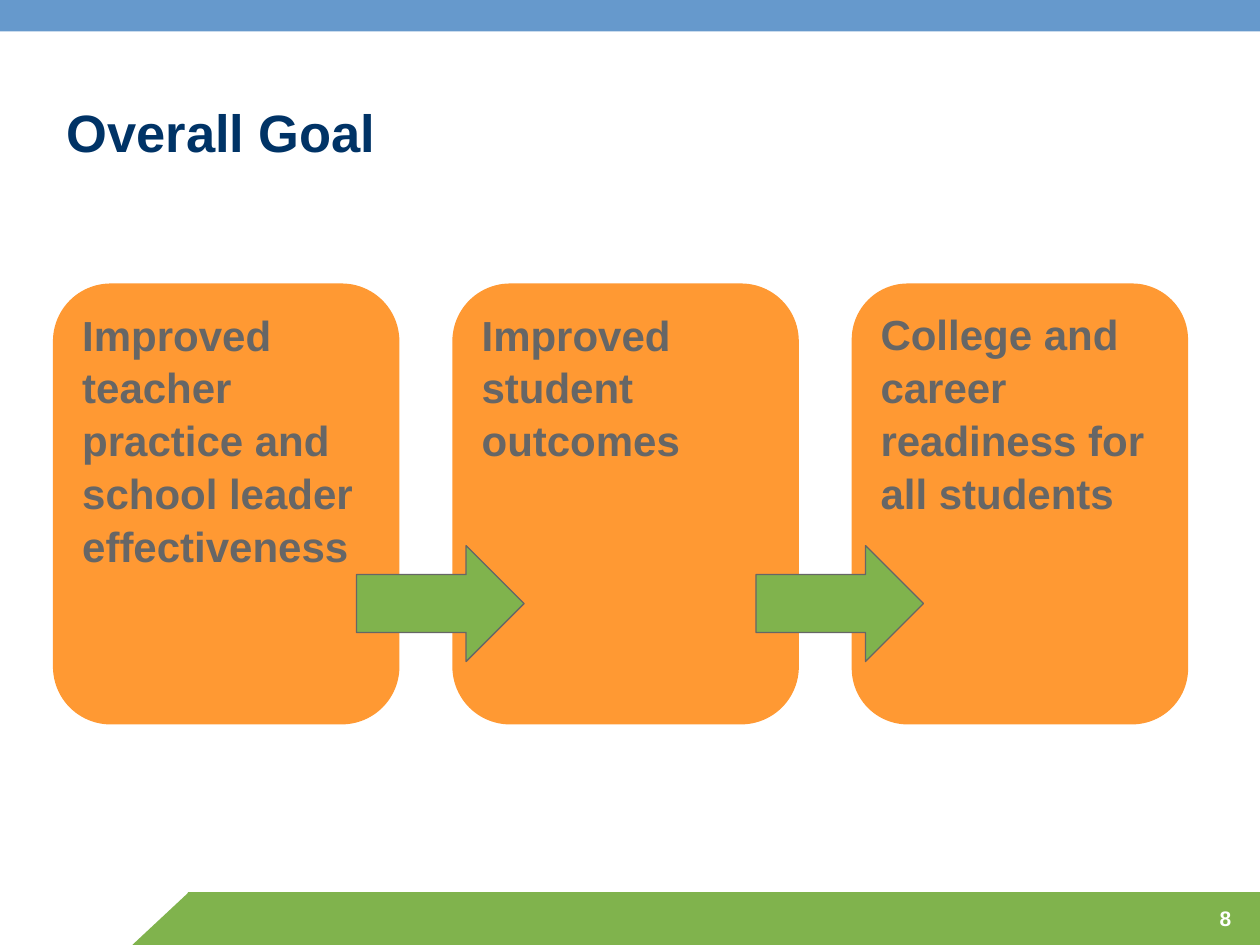
import pptx
import pptx.dml.color
import pptx.enum.shapes
import pptx.enum.text
import pptx.util

Inches = pptx.util.Inches
Pt = pptx.util.Pt
RGBColor = pptx.dml.color.RGBColor
Shape = pptx.enum.shapes.MSO_SHAPE
Anchor = pptx.enum.text.MSO_ANCHOR
Align = pptx.enum.text.PP_ALIGN

GREEN = RGBColor(0x80, 0xB3, 0x4D)
BLUE = RGBColor(0x66, 0x99, 0xCC)
NAVY = RGBColor(0x00, 0x33, 0x66)
ORANGE = RGBColor(0xFF, 0x99, 0x33)
GRAY = RGBColor(0x66, 0x66, 0x66)
WHITE = RGBColor(0xFF, 0xFF, 0xFF)


class SlideBuilder:
    font_name = "Arial"

    def __init__(self, slide):
        self.slide = slide

    def set_text(self, shape, text, size, color, align=Align.LEFT, anchor=Anchor.TOP):
        frame = shape.text_frame
        frame.word_wrap = True
        frame.vertical_anchor = anchor
        paragraph = frame.paragraphs[0]
        paragraph.text = text
        paragraph.alignment = align
        paragraph.font.name = self.font_name
        paragraph.font.size = Pt(size)
        paragraph.font.bold = True
        paragraph.font.color.rgb = color
        return paragraph

    def text(self, left, top, width, height, text, size, color, **layout):
        box = self.slide.shapes.add_textbox(
            Inches(left), Inches(top), Inches(width), Inches(height))
        self.set_text(box, text, size, color, **layout)

    def shape(self, kind, left, top, width, height, fill):
        shape = self.slide.shapes.add_shape(
            kind, Inches(left), Inches(top), Inches(width), Inches(height))
        shape.shadow.inherit = False
        shape.fill.solid()
        shape.fill.fore_color.rgb = fill
        shape.line.fill.background()
        return shape

    def card(self, left, width, text):
        card = self.shape(Shape.FLOWCHART_ALTERNATE_PROCESS, left, 2.25, width, 3.5, ORANGE)
        paragraph = self.set_text(card, text, 24, GRAY)
        paragraph.line_spacing = 1.05

    def arrow(self, left):
        arrow = self.shape(Shape.RIGHT_ARROW, left, 4.33, 1.33, 0.92, GREEN)
        arrow.line.color.rgb = GRAY
        arrow.line.width = Pt(0.75)

    def bands(self):
        self.shape(Shape.RECTANGLE, 1.49, 7.08, 8.51, 0.42, GREEN)
        corner = self.shape(Shape.RIGHT_TRIANGLE, 1.05, 7.08, 0.45, 0.42, GREEN)
        corner._element.spPr.xfrm.set("flipH", "1")
        self.shape(Shape.RECTANGLE, 0, 0, 10, 0.25, BLUE)


def main():
    presentation = pptx.Presentation()
    presentation.slide_width = Inches(10)
    presentation.slide_height = Inches(7.5)
    builder = SlideBuilder(presentation.slides.add_slide(presentation.slide_layouts[6]))

    builder.bands()
    builder.text(8.79, 7.14, 1.08, 0.25, "8", 12, WHITE, align=Align.RIGHT)
    builder.text(0.43, 0.17, 8.5, 1.17, "Overall Goal", 30, NAVY, anchor=Anchor.BOTTOM)

    pitch = 3.17
    goals = [
        ("Improved teacher practice and school leader effectiveness", 2.75),
        ("Improved student outcomes", 2.75),
        ("College and career readiness for all students", 2.67),
    ]
    for index, (text, width) in enumerate(goals):
        builder.card(0.42 + index * pitch, width, text)
    for index in range(len(goals) - 1):
        builder.arrow(2.83 + index * pitch)

    presentation.save("out.pptx")


if __name__ == "__main__":
    main()
